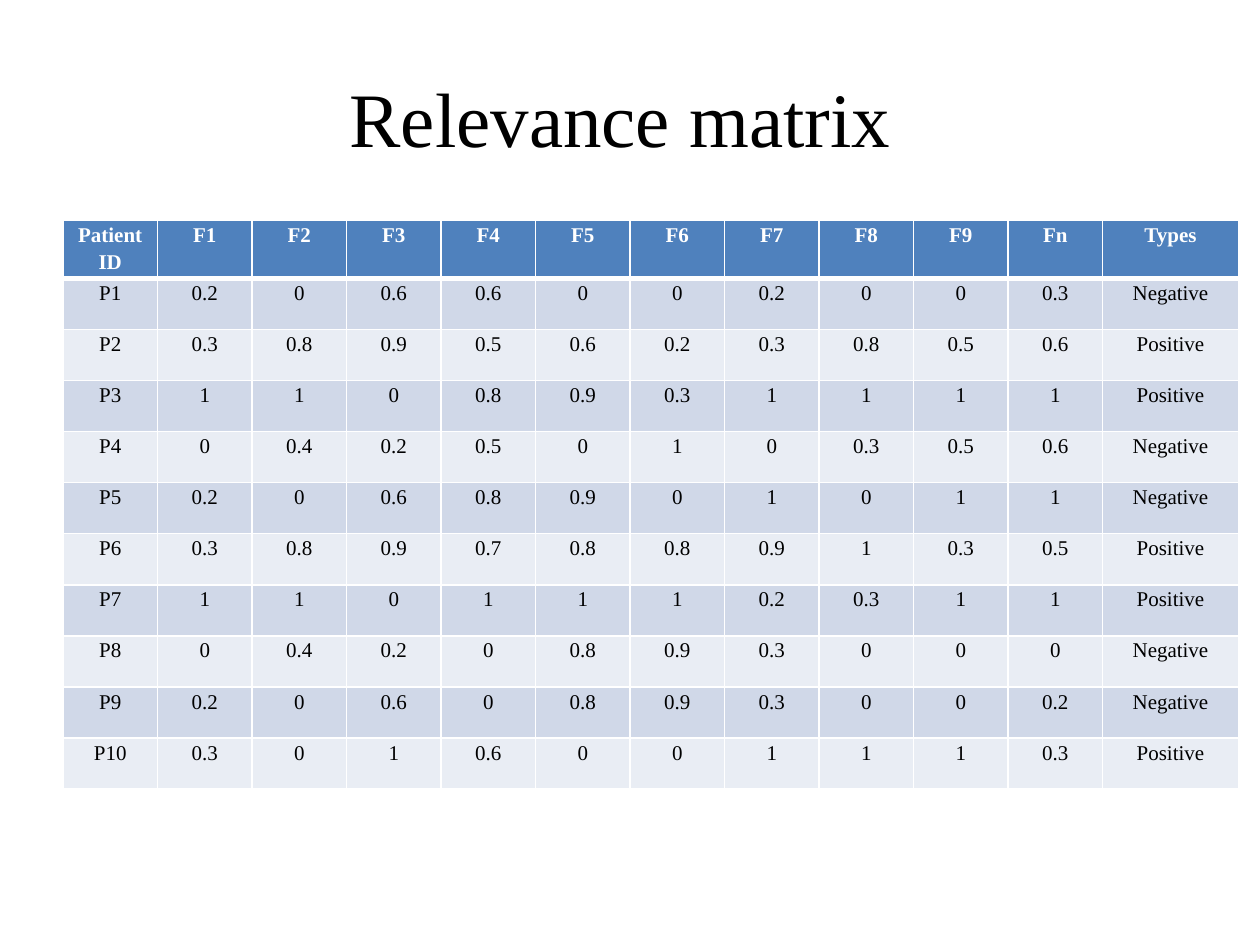
from dataclasses import dataclass

from lxml import etree
from pptx import Presentation
from pptx import util as u
from pptx.dml.color import RGBColor
from pptx.enum import text
from pptx.oxml.ns import qn

FONT = "Times New Roman"
MATRIX_ROWS = """
Patient ID|F1|F2|F3|F4|F5|F6|F7|F8|F9|Fn|Types
P1|0.2|0|0.6|0.6|0|0|0.2|0|0|0.3|Negative
P2|0.3|0.8|0.9|0.5|0.6|0.2|0.3|0.8|0.5|0.6|Positive
P3|1|1|0|0.8|0.9|0.3|1|1|1|1|Positive
P4|0|0.4|0.2|0.5|0|1|0|0.3|0.5|0.6|Negative
P5|0.2|0|0.6|0.8|0.9|0|1|0|1|1|Negative
P6|0.3|0.8|0.9|0.7|0.8|0.8|0.9|1|0.3|0.5|Positive
P7|1|1|0|1|1|1|0.2|0.3|1|1|Positive
P8|0|0.4|0.2|0|0.8|0.9|0.3|0|0|0|Negative
P9|0.2|0|0.6|0|0.8|0.9|0.3|0|0|0.2|Negative
P10|0.3|0|1|0.6|0|0|1|1|1|0.3|Positive
"""


@dataclass(frozen=True)
class RowLook:
    fill: str
    ink: str
    bold: bool
    borders: dict[str, float]


HEADER = RowLook("4F81BD", "FFFFFF", True, {"L": 1, "R": 1, "T": 1, "B": 3})
ODD = RowLook("D0D8E8", "000000", False, {"L": 1, "R": 1, "B": 1})
EVEN = RowLook("E9EDF4", "000000", False, {"L": 1, "R": 1, "B": 1})


def colour(value: str) -> RGBColor:
    return RGBColor.from_string(value)


def apply(target, values: dict) -> None:
    for name, value in values.items():
        setattr(target, name, value)


def write(frame, words: str, size: float, ink: str, bold: bool, spacing: float) -> None:
    paragraph = frame.paragraphs[0]
    apply(paragraph, {"alignment": text.PP_ALIGN.CENTER, "line_spacing": spacing})
    run = paragraph.add_run()
    run.text = words
    apply(run.font, {"name": FONT, "size": u.Pt(size), "bold": bold})
    run.font.color.rgb = colour(ink)


def draw_borders(cell, borders: dict[str, float]) -> None:
    properties = cell._tc.get_or_add_tcPr()
    for side, width in borders.items():
        line = etree.SubElement(properties, qn(f"a:ln{side}"), w=str(u.Pt(width)))
        fill = etree.SubElement(line, qn("a:solidFill"))
        etree.SubElement(fill, qn("a:srgbClr"), val="FFFFFF")


def draw_cell(cell, words: str, look: RowLook) -> None:
    apply(cell, {
        "margin_left": u.Inches(0.07), "margin_right": u.Inches(0.07),
        "margin_top": 0, "margin_bottom": 0,
    })
    write(cell.text_frame, words, 12, look.ink, look.bold, 1.15)
    draw_borders(cell, look.borders)
    cell.fill.solid()
    cell.fill.fore_color.rgb = colour(look.fill)


def draw_title(slide) -> None:
    title = slide.shapes.add_textbox(
        u.Inches(0.5), u.Inches(0.3), u.Inches(9), u.Inches(1.25))
    apply(title.text_frame, {
        "word_wrap": True, "vertical_anchor": text.MSO_ANCHOR.MIDDLE})
    write(title.text_frame, "Relevance matrix ", 44, "000000", False, 1.0)


def draw_matrix(slide) -> None:
    records = [line.split("|") for line in MATRIX_ROWS.strip().splitlines()]
    widths = [0.75] * (len(records[0]) - 1) + [1.08]
    matrix = slide.shapes.add_table(
        len(records), len(widths), u.Inches(0.5), u.Inches(1.75),
        u.Inches(sum(widths)), u.Inches(4.46)).table
    for column, width in zip(matrix.columns, widths):
        column.width = u.Inches(width)
    for index, record in enumerate(records):
        look = HEADER if index == 0 else ODD if index % 2 else EVEN
        for cell, words in zip(matrix.rows[index].cells, record):
            draw_cell(cell, words, look)


def main() -> None:
    deck = Presentation()
    apply(deck, {"slide_width": u.Inches(10), "slide_height": u.Inches(7.5)})
    slide = deck.slides.add_slide(deck.slide_layouts[6])
    draw_title(slide)
    draw_matrix(slide)
    deck.save("out.pptx")


main()
